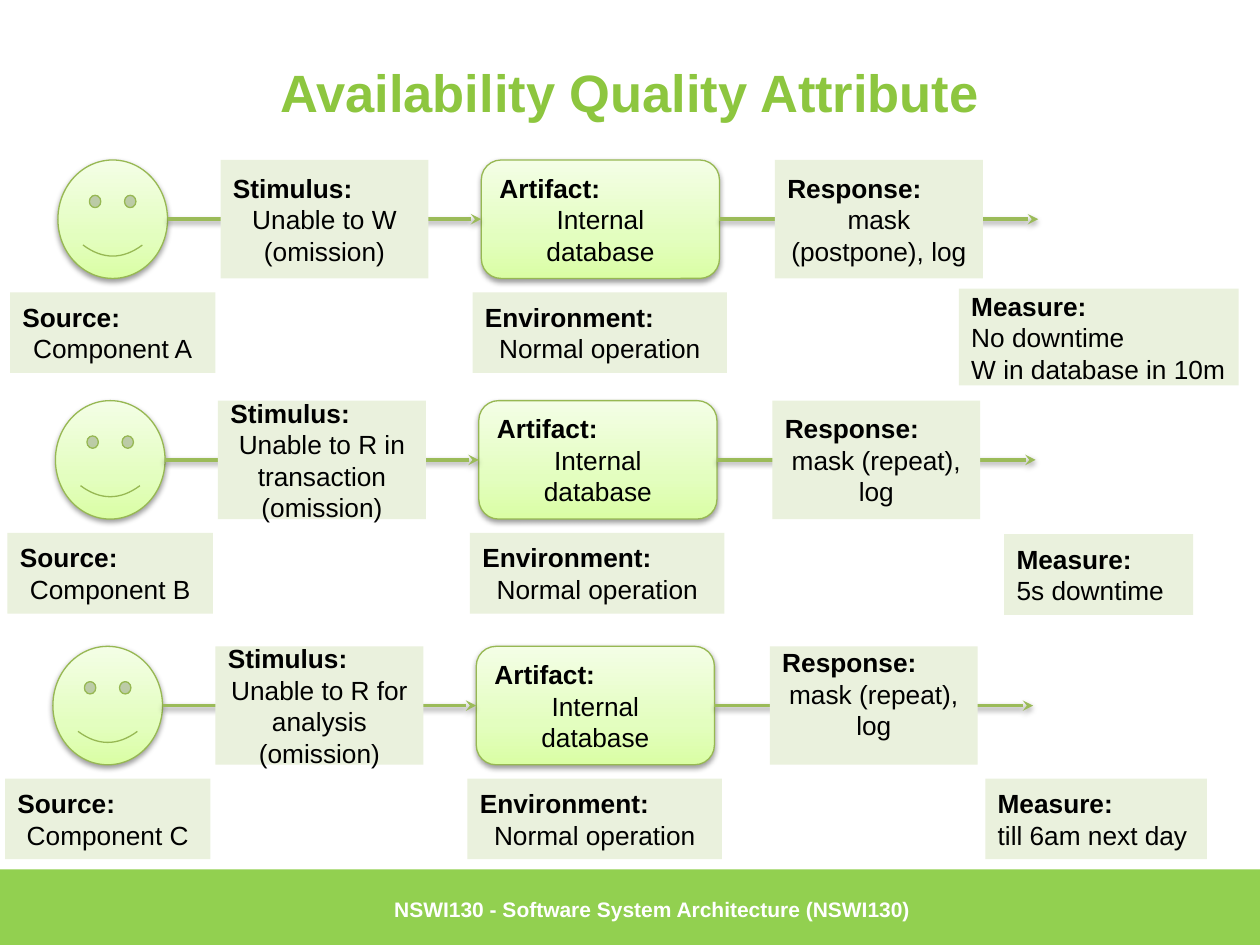
from lxml import etree
from pptx import Presentation
from pptx.dml.color import RGBColor
from pptx.enum.shapes import MSO_CONNECTOR as Connector, MSO_SHAPE as Shape
from pptx.enum.text import MSO_ANCHOR as Anchor, PP_ALIGN as Align
from pptx.oxml.ns import qn
from pptx.util import Inches, Pt

WHITE = RGBColor(0xFF, 0xFF, 0xFF)
BLACK = RGBColor(0x00, 0x00, 0x00)
TITLE_GREEN = RGBColor(0x8D, 0xC6, 0x3F)
FOOTER_GREEN = RGBColor(0x92, 0xD0, 0x50)
LABEL_GREEN = RGBColor(0xEA, 0xF1, 0xDD)
OUTLINE_GREEN = RGBColor(0x97, 0xB8, 0x53)
ARROW_GREEN = RGBColor(0x9B, 0xBB, 0x59)
GRADIENT = [
    (0, RGBColor(0xDA, 0xFE, 0xA4)),
    (35, RGBColor(0xE3, 0xFE, 0xBF)),
    (100, RGBColor(0xF4, 0xFE, 0xE6)),
]


def add_node(parent, tag, **attributes):
    return etree.SubElement(parent, qn(tag), {k: str(v) for k, v in attributes.items()})


def add_shadow(properties):
    """Put a soft shadow below a shape or connector."""
    effects = add_node(properties, "a:effectLst")
    shadow = add_node(effects, "a:outerShdw", blurRad=40000, dist=20000,
                      dir=5400000, rotWithShape=0)
    color = add_node(shadow, "a:srgbClr", val=BLACK)
    add_node(color, "a:alpha", val=38000)


def write_text(frame, text, size=15, color=BLACK, bold=False, align=Align.LEFT,
               first=True, font="Arial"):
    paragraph = frame.paragraphs[0] if first else frame.add_paragraph()
    paragraph.alignment = align
    run = paragraph.add_run()
    run.text = text
    run.font.name = font
    run.font.size = Pt(size)
    run.font.bold = bold
    run.font.color.rgb = color


class ScenarioSlide:
    def __init__(self, slide):
        self.shapes = slide.shapes

    def shape(self, kind, left, top, width, height):
        shape = self.shapes.add_shape(
            kind, Inches(left), Inches(top), Inches(width), Inches(height))
        shape.shadow.inherit = False
        return shape

    def block(self, left, top, width, height, color):
        block = self.shape(Shape.RECTANGLE, left, top, width, height)
        block.fill.solid()
        block.fill.fore_color.rgb = color
        block.line.fill.background()
        return block

    def heading(self, text, left, top, width, height, **style):
        box = self.shapes.add_textbox(
            Inches(left), Inches(top), Inches(width), Inches(height))
        box.text_frame.word_wrap = True
        box.text_frame.vertical_anchor = Anchor.MIDDLE
        write_text(box.text_frame, text, bold=True, **style)

    def labelled(self, shape, label, lines, align=Align.CENTER):
        frame = shape.text_frame
        frame.word_wrap = True
        frame.vertical_anchor = Anchor.MIDDLE
        write_text(frame, label, bold=True)
        for line in lines:
            write_text(frame, line, align=align, first=False)
        return frame

    def label(self, label, lines, left, top, width, height, **style):
        block = self.block(left, top, width, height, LABEL_GREEN)
        return self.labelled(block, label, lines, **style)

    def glossy(self, kind, left, top, width, height):
        shape = self.shape(kind, left, top, width, height)
        shape.fill.gradient()
        shape.fill.gradient_angle = 90
        properties = shape._element.spPr
        stops = properties.find(".//" + qn("a:gsLst"))
        for stop in list(stops):
            stops.remove(stop)
        for position, color in GRADIENT:
            stop = add_node(stops, "a:gs", pos=position * 1000)
            add_node(stop, "a:srgbClr", val=color)
        shape.line.color.rgb = OUTLINE_GREEN
        shape.line.width = Pt(0.75)
        properties.remove(properties.find(qn("a:effectLst")))
        add_shadow(properties)
        return shape

    def arrow(self, start, end, y):
        arrow = self.shapes.add_connector(
            Connector.STRAIGHT, Inches(start), Inches(y), Inches(end), Inches(y))
        arrow.line.color.rgb = ARROW_GREEN
        arrow.line.width = Pt(2)
        add_node(arrow.line._get_or_add_ln(), "a:tailEnd", type="stealth")
        add_shadow(arrow._element.spPr)
        return arrow

    def scenario(self, x, top, source, stimulus, response, measure, measure_box):
        middle, below = top + 0.47, top + 1.05
        # Source and artifact
        self.glossy(Shape.SMILEY_FACE, x + 0.46, top, 0.87, 0.94)
        self.label("Source:", [source], x + 0.08, below, 1.63, 0.64)
        artifact = self.glossy(Shape.ROUNDED_RECTANGLE, x + 3.82, top, 1.89, 0.94)
        self.labelled(artifact, "Artifact:", ["Internal database"])
        # Arrows, partly covered by the labels that follow
        self.arrow(x + 1.33, x + 3.82, middle).end_connect(artifact, 1)
        self.arrow(x + 5.71, x + 8.24, middle).begin_connect(artifact, 3)
        # Labels
        self.label("Stimulus:", stimulus, x + 1.75, top, 1.65, 0.94)
        self.label("Environment:", ["Normal operation"], x + 3.75, below, 2.02, 0.64)
        answer = self.label("Response:", [response], x + 6.15, top, 1.65, 0.94)
        self.label("Measure:", measure, *measure_box, align=Align.LEFT)
        return answer


def main():
    presentation = Presentation()
    presentation.slide_width = Inches(10)
    presentation.slide_height = Inches(7.5)
    page = ScenarioSlide(presentation.slides.add_slide(presentation.slide_layouts[6]))

    # Footer and title
    page.block(0, 6.9, 10, 0.63, FOOTER_GREEN)
    page.heading("Availability Quality Attribute", 0.5, 0.3, 9, 0.85,
                 size=30, color=TITLE_GREEN, align=Align.CENTER)
    page.heading("NSWI130 - Software System Architecture (NSWI130)",
                 3.03, 6.9, 6.02, 0.63, size=12, color=WHITE)

    # Scenarios, each a little further left
    scenarios = [
        (1.27, "Component A", ["Unable to W", "(omission)"], "mask (postpone), log",
         ["No downtime", "W in database in 10m"], (7.61, 2.29, 2.22, 0.77)),
        (3.18, "Component B", ["Unable to R in transaction", "(omission)"],
         "mask (repeat), log", ["5s downtime"], (7.97, 4.24, 1.5, 0.64)),
        (5.13, "Component C", ["Unable to R for analysis", "(omission)"],
         "mask (repeat), log", ["till 6am next day"], (7.82, 6.18, 1.76, 0.64)),
    ]
    for row, scenario in enumerate(scenarios):
        answer = page.scenario(-0.02 * row, *scenario)

    # The last response sits at the top of its box
    answer.vertical_anchor = Anchor.TOP
    answer.margin_top = 0

    presentation.save("out.pptx")


if __name__ == "__main__":
    main()
